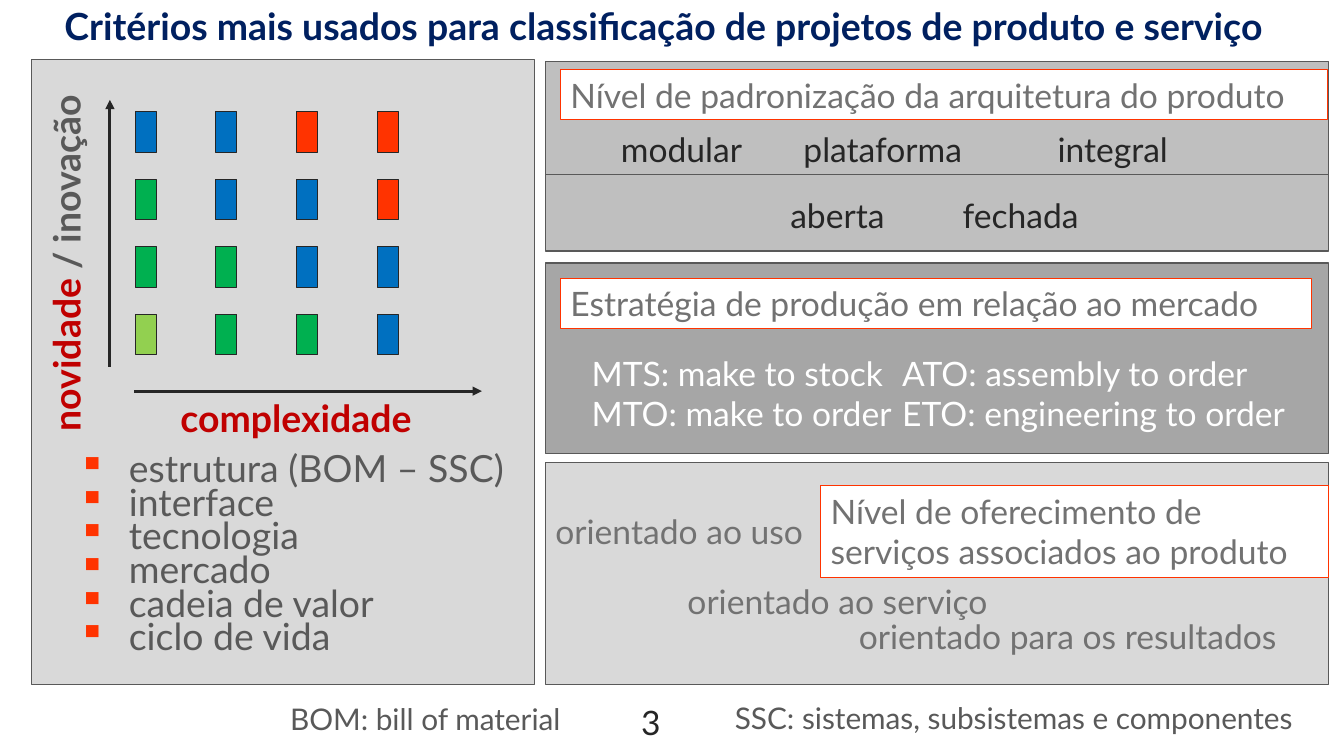
from lxml import etree
from pptx import Presentation
from pptx.dml.color import RGBColor
from pptx.enum.shapes import MSO_CONNECTOR, MSO_SHAPE
from pptx.enum.text import MSO_ANCHOR, PP_ALIGN
from pptx.oxml.ns import qn
from pptx.util import Inches, Pt

RECT = MSO_SHAPE.RECTANGLE
STRAIGHT = MSO_CONNECTOR.STRAIGHT
LEFT, CENTER = PP_ALIGN.LEFT, PP_ALIGN.CENTER
TOP, MIDDLE = MSO_ANCHOR.TOP, MSO_ANCHOR.MIDDLE

FONT = "Lato"
WHITE, BLACK, DARK, GRAY = "FFFFFF", "262626", "595959", "727272"
LIGHT, MEDIUM, STRONG = "D9D9D9", "BFBFBF", "A6A6A6"
NAVY, RED, ORANGE = "002060", "C00000", "FF3300"
BIG, NORMAL, SMALL = 26.7, 24, 21.3


def rgb(value):
    return RGBColor.from_string(value)


class SlideBuilder:
    def __init__(self, s):
        self.s = s

    def style_run(self, r, size, color, bold=False):
        r.font.name = FONT
        r.font.size = Pt(size)
        r.font.bold = bold
        r.font.color.rgb = rgb(color)

    def fill_text(self, sp, text, size, color, bold=False, align=LEFT, anchor=TOP, wrap=True):
        tf = sp.text_frame
        tf.text = text
        tf.word_wrap = wrap
        tf.vertical_anchor = anchor
        for p in tf.paragraphs:
            p.alignment = align
            for r in p.runs:
                self.style_run(r, size, color, bold)

    def rect(self, x, y, w, h, fill, line=None, width=0.75):
        sp = self.s.shapes.add_shape(RECT, Inches(x), Inches(y), Inches(w), Inches(h))
        sp.shadow.inherit = False
        sp.fill.solid()
        sp.fill.fore_color.rgb = rgb(fill)
        if line:
            sp.line.color.rgb = rgb(line)
            sp.line.width = Pt(width)
        else:
            sp.line.fill.background()
        return sp

    def text(self, x, y, w, h, text, size=NORMAL, color=BLACK, bold=False, wrap=False):
        sp = self.s.shapes.add_textbox(Inches(x), Inches(y), Inches(w), Inches(h))
        self.fill_text(sp, text, size, color, bold, wrap=wrap)
        return sp

    def heading(self, x, y, w, h, text):
        self.fill_text(self.rect(x, y, w, h, WHITE, ORANGE), text, NORMAL, GRAY)

    def axis_label(self, x, y, w, h, text):
        sp = self.text(x, y, w, h, text, BIG, RED, True)
        sp.text_frame.margin_top = sp.text_frame.margin_bottom = 0
        return sp

    def line(self, x1, y1, x2, y2, color, width, arrow=False):
        cx = self.s.shapes.add_connector(STRAIGHT, Inches(x1), Inches(y1), Inches(x2), Inches(y2))
        cx.line.color.rgb = rgb(color)
        cx.line.width = Pt(width)
        spPr = cx._element.spPr
        if arrow:
            etree.SubElement(spPr.find(qn("a:ln")), qn("a:tailEnd"), type="triangle")
        etree.SubElement(spPr, qn("a:effectLst"))

    def bullets(self, x, y, w, h, items):
        sp = self.text(x, y, w, h, "\n".join(items), BIG, DARK, wrap=True)
        for p in sp.text_frame.paragraphs:
            p.line_spacing = Pt(24)
            pPr = p._p.get_or_add_pPr()
            pPr.set("marL", str(Inches(0.5)))
            pPr.set("indent", str(-Inches(0.5)))
            color = etree.SubElement(pPr, qn("a:buClr"))
            etree.SubElement(color, qn("a:srgbClr"), val=ORANGE)
            etree.SubElement(pPr, qn("a:buChar"), char="▪")


def add_matrix(b):
    """Novelty by complexity grid with its two axes."""
    colors = {"B": "0070C0", "R": ORANGE, "G": "00B050", "L": "92D050"}
    for row, codes in enumerate(["BBRR", "GBBR", "GGBB", "LGGB"]):
        for col, code in enumerate(codes):
            b.rect(1.34 + 0.8 * col, 1.11 + 0.67 * row, 0.21, 0.4, colors[code], BLACK)
    b.line(1.09, 3.64, 1.09, 0.99, BLACK, 2.25, arrow=True)
    b.line(1.33, 3.88, 4.78, 3.88, BLACK, 2.25, arrow=True)

    novelty = b.axis_label(-1.29, 2.21, 3.89, 0.45, "novidade")
    novelty.rotation = 270
    r = novelty.text_frame.paragraphs[0].add_run()
    r.text = " / inovação"
    b.style_run(r, BIG, DARK, True)
    b.axis_label(1.69, 3.92, 2.71, 0.45, "complexidade")


def main():
    prs = Presentation()
    prs.slide_width, prs.slide_height = Inches(13.33), Inches(7.5)
    b = SlideBuilder(prs.slides.add_slide(prs.slide_layouts[6]))

    title = b.rect(0, -0.03, 13.18, 0.63, WHITE)
    b.fill_text(title, "Critérios mais usados para classificação de projetos de produto e serviço",
                BIG, NAVY, True, CENTER, MIDDLE)
    title.text_frame.paragraphs[0].line_spacing = 0.9

    for x, y, w, h, fill in [
        (5.41, 2.61, 7.77, 1.89, STRONG),
        (5.41, 0.61, 7.77, 1.88, MEDIUM),
        (5.41, 4.59, 7.77, 2.2, LIGHT),
        (0.31, 0.59, 4.99, 6.2, LIGHT),
    ]:
        b.rect(x, y, w, h, fill, DARK, 1)

    add_matrix(b)
    b.bullets(0.68, 4.48, 4.73, 2.12, [
        "estrutura (BOM – SSC)", "interface", "tecnologia",
        "mercado", "cadeia de valor", "ciclo de vida",
    ])

    b.heading(5.56, 0.69, 7.61, 0.5, "Nível de padronização da arquitetura do produto")
    b.heading(5.56, 2.76, 7.45, 0.5, "Estratégia de produção em relação ao mercado")
    b.heading(8.14, 4.82, 5.04, 0.91, "Nível de oferecimento de serviços associados ao produto")

    b.line(5.41, 1.73, 13.18, 1.73, DARK, 0.5)
    for x, y, w, label, color in [
        (6.06, 1.23, 1.42, "modular", BLACK),
        (7.87, 1.23, 1.79, "plataforma", BLACK),
        (10.39, 1.23, 1.31, "integral", BLACK),
        (7.74, 1.88, 1.16, "aberta", BLACK),
        (9.45, 1.88, 1.4, "fechada", BLACK),
        (5.41, 5.02, 2.71, "orientado ao uso", GRAY),
        (6.72, 5.71, 3.24, "orientado ao serviço", GRAY),
        (8.42, 6.06, 4.47, "orientado para os resultados", GRAY),
    ]:
        b.text(x, y, w, 0.5, label, color=color)

    b.text(5.77, 3.45, 3.21, 0.91, "MTS: make to stock\nMTO: make to order", color=WHITE)
    b.fill_text(b.rect(8.85, 3.45, 4.09, 0.91, STRONG),
                "ATO: assembly to order\nETO: engineering to order", NORMAL, WHITE, wrap=False)

    b.text(2.78, 6.9, 2.89, 0.46, "BOM: bill of material", SMALL, DARK)
    b.text(6.26, 6.91, 0.65, 0.53, "3", wrap=True)
    b.text(7.19, 6.89, 6.11, 0.46, "SSC: sistemas, subsistemas e componentes", SMALL, DARK)

    prs.save("out.pptx")


if __name__ == "__main__":
    main()
